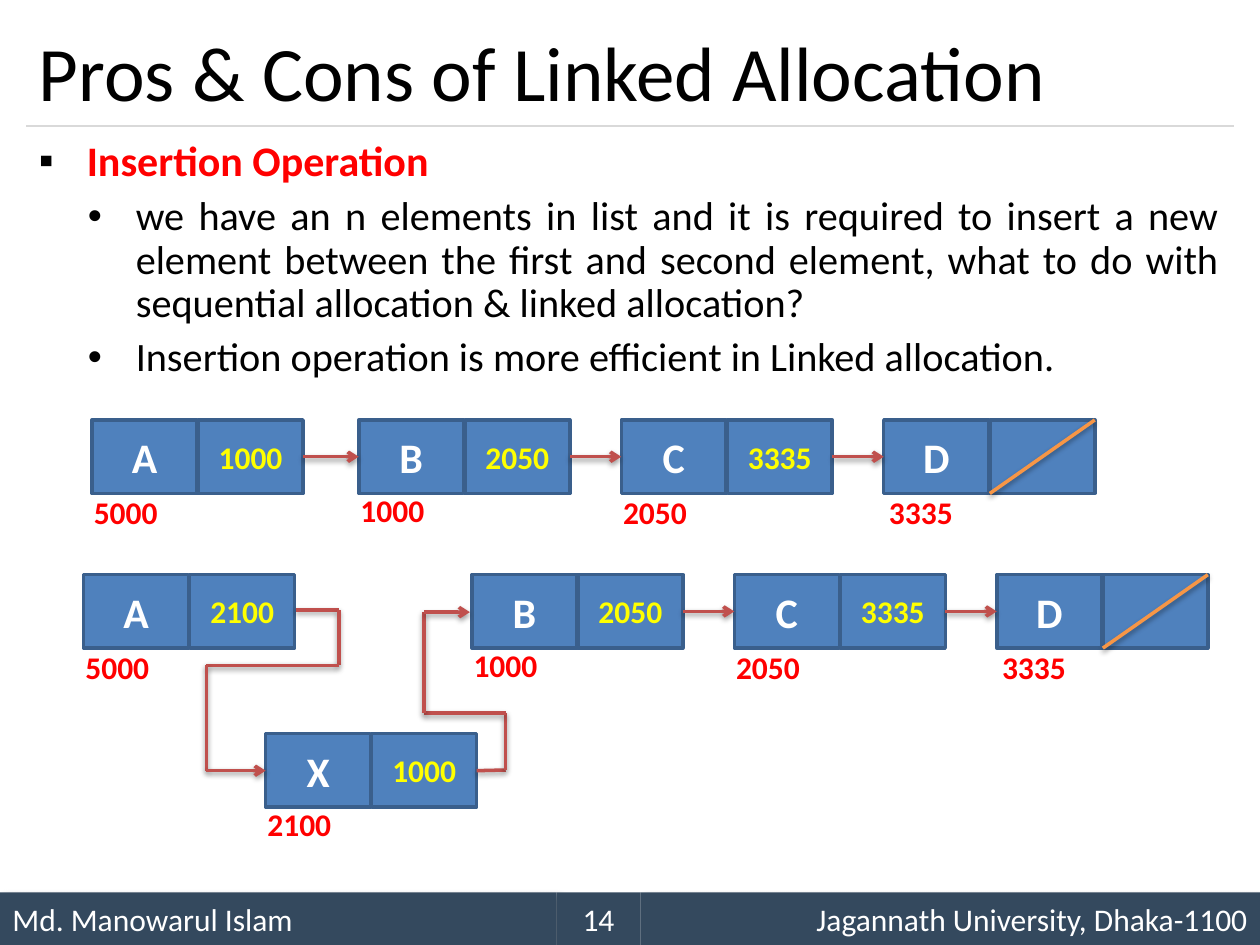
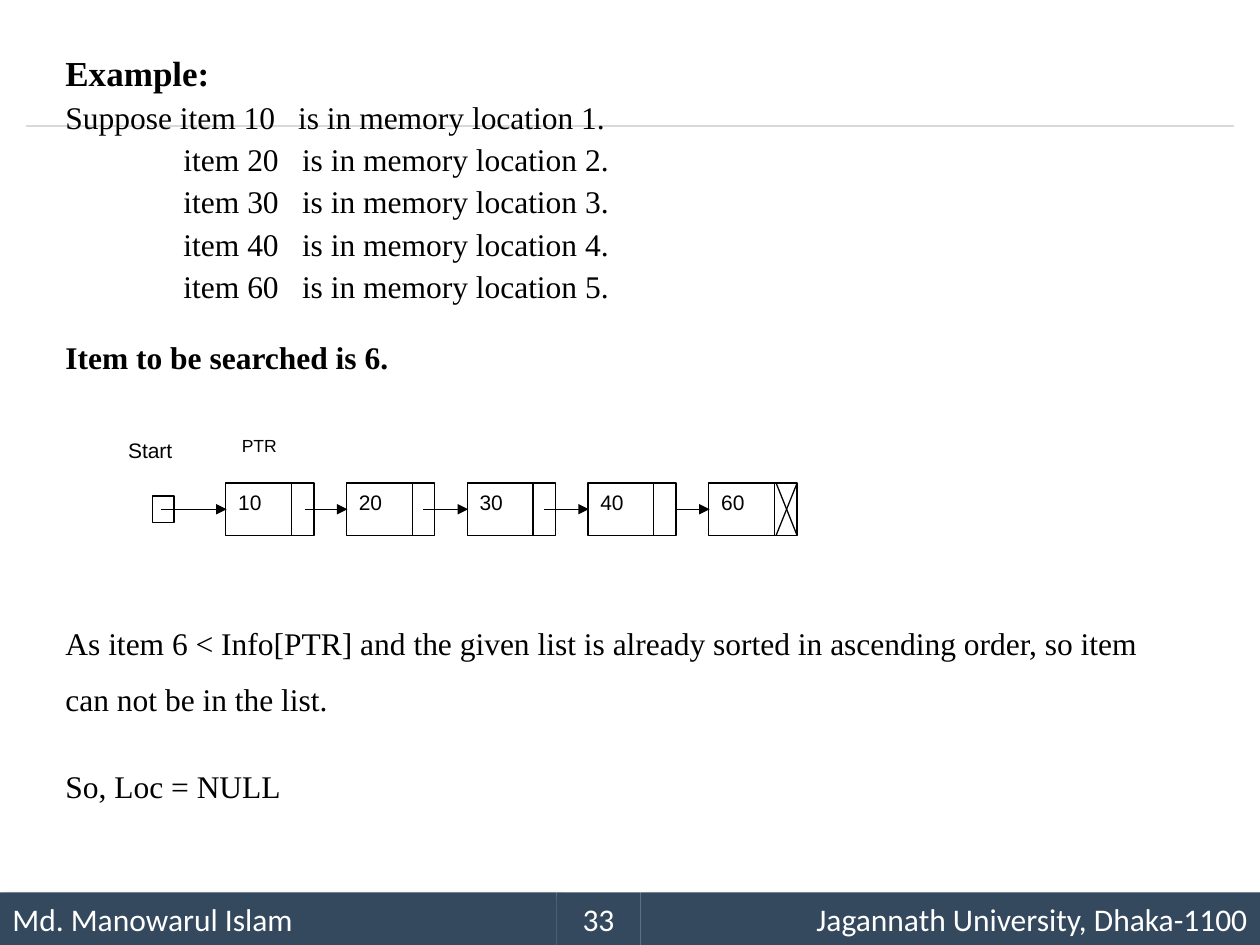
from dataclasses import dataclass
from itertools import pairwise

from lxml.etree import SubElement
from pptx import Presentation
from pptx.dml.color import RGBColor
from pptx.enum.shapes import MSO_CONNECTOR, MSO_SHAPE
from pptx.enum.text import MSO_ANCHOR, PP_ALIGN
from pptx.oxml.ns import qn
from pptx.util import Pt

COLORS = {
    "footer": "34495E",
    "rule": "D9D9D9",
    "white": "FFFFFF",
    "black": "000000",
    "red": "FF0000",
    "yellow": "FFFF00",
    "cell": "4F81BD",
    "cell_edge": "3A5F8C",
    "link": "C0504D",
    "null_mark": "F79646",
}

Point = tuple[float, float]
Area = tuple[float, float, float, float]


@dataclass(frozen=True)
class Shadow:
    alpha: int
    blur: float
    distance: float
    direction: int


@dataclass(frozen=True)
class Style:
    size: float
    color: str = "black"
    bold: bool = False
    name: str = "Calibri"
    align: PP_ALIGN = PP_ALIGN.LEFT


@dataclass(frozen=True)
class Line:
    text: str
    style: Style
    before: float | None = None
    spacing: float | None = None
    bullet: str = ""
    margin: float = 0
    tabs: tuple[float, ...] = ()


@dataclass(frozen=True)
class Stroke:
    color: str
    width: float
    head: str = ""
    shadow: Shadow | None = None


@dataclass(frozen=True)
class Node:
    letter: str
    pointer: str
    address: str
    x: float
    y: float
    address_dx: float = 1
    address_dy: float = 42


FOOTER_SHADOW = Shadow(40, 4, 3, 45)
LINK_SHADOW = Shadow(38, 3.1, 1.6, 90)
LINK = Stroke("link", 2, "arrow", LINK_SHADOW)
NULL_MARK = Stroke("null_mark", 2, "", LINK_SHADOW)
THIN = Stroke("black", 0.75)
THIN_ARROW = Stroke("black", 0.75, "triangle")
CELL_EDGE = Stroke("cell_edge", 2)

LETTER = Style(24, "white", True, align=PP_ALIGN.CENTER)
POINTER = Style(18, "yellow", True, align=PP_ALIGN.CENTER)
ADDRESS = Style(18, "red", True)
SERIF = Style(18, name="Times New Roman")
SERIF_BOLD = Style(18, bold=True, name="Times New Roman")
SANS = Style(12, name="Arial")

CELL_WIDTH, CELL_HEIGHT, CELL_STEP = 60, 42, 60.6
NODE_WIDTH = CELL_STEP + CELL_WIDTH
BULLET_HANG = 27.4


def rgb(name: str) -> RGBColor:
    return RGBColor.from_string(COLORS[name])


def set_effect(shape, shadow: Shadow | None) -> None:
    effects = SubElement(shape.element.spPr, qn("a:effectLst"))
    if shadow:
        outer = SubElement(
            effects, qn("a:outerShdw"), blurRad=str(Pt(shadow.blur)),
            dist=str(Pt(shadow.distance)), dir=str(shadow.direction * 60000),
            rotWithShape="0")
        color = SubElement(outer, qn("a:srgbClr"), val=COLORS["black"])
        SubElement(color, qn("a:alpha"), val=str(shadow.alpha * 1000))


def format_para(para, style: Style) -> None:
    para.alignment = style.align
    font = para.font
    font.name, font.size, font.bold = style.name, Pt(style.size), style.bold
    font.color.rgb = rgb(style.color)


def write_line(para, line: Line) -> None:
    para.text = line.text
    properties = para._p.get_or_add_pPr()
    if line.bullet:
        properties.set("marL", str(Pt(line.margin)))
        properties.set("indent", str(-Pt(BULLET_HANG)))
        color = SubElement(properties, qn("a:buClr"))
        SubElement(color, qn("a:srgbClr"), val=COLORS["black"])
        SubElement(properties, qn("a:buFont"), typeface="Arial")
        SubElement(properties, qn("a:buChar"), char=line.bullet)
    if line.tabs:
        tab_list = SubElement(properties, qn("a:tabLst"))
        for stop in line.tabs:
            SubElement(tab_list, qn("a:tab"), pos=str(Pt(stop)), algn="l")
    if line.before is not None:
        para.space_before = Pt(line.before)
    if line.spacing is not None:
        para.line_spacing = line.spacing
    format_para(para, line.style)


def draw_text(page, area: Area, lines: list[Line]) -> None:
    frame = page.shapes.add_textbox(*map(Pt, area)).text_frame
    frame.word_wrap = True
    frame.margin_left = frame.margin_right = frame.margin_top = frame.margin_bottom = 0
    for index, line in enumerate(lines):
        write_line(frame.add_paragraph() if index else frame.paragraphs[0], line)


def draw_box(page, area: Area, fill: str, edge: Stroke | None = None, text: str = "",
             style: Style = SANS, anchor: MSO_ANCHOR = MSO_ANCHOR.MIDDLE,
             shadow: Shadow | None = None) -> None:
    box = page.shapes.add_shape(MSO_SHAPE.RECTANGLE, *map(Pt, area))
    box.fill.solid()
    box.fill.fore_color.rgb = rgb(fill)
    if edge:
        box.line.color.rgb = rgb(edge.color)
        box.line.width = Pt(edge.width)
    else:
        box.line.fill.background()
    set_effect(box, shadow)
    if text:
        box.text_frame.vertical_anchor = anchor
        write_line(box.text_frame.paragraphs[0], Line(text, style))


def draw_line(page, start: Point, end: Point, stroke: Stroke, head: bool = True) -> None:
    line = page.shapes.add_connector(MSO_CONNECTOR.STRAIGHT, *map(Pt, (*start, *end)))
    line.line.color.rgb = rgb(stroke.color)
    line.line.width = Pt(stroke.width)
    if stroke.head and head:
        SubElement(line.element.spPr.find(qn("a:ln")), qn("a:tailEnd"), type=stroke.head)
    set_effect(line, stroke.shadow)


def draw_route(page, points: list[Point]) -> None:
    for start, end in pairwise(points):
        draw_line(page, start, end, LINK, head=end == points[-1])


def draw_frame(page, number: str) -> None:
    draw_line(page, (15, 72), (705, 72), Stroke("rule", 0.75))
    for left, width, text, align, shadow in (
        (0, 318, "Md. Manowarul Islam", PP_ALIGN.LEFT, FOOTER_SHADOW),
        (366, 354, "Jagannath University, Dhaka-1100", PP_ALIGN.RIGHT, FOOTER_SHADOW),
        (318, 48, number, PP_ALIGN.CENTER, None),
    ):
        draw_box(page, (left, 510, width, 30), "footer", text=text,
                 style=Style(18, "white", align=align), shadow=shadow)


def draw_node(page, node: Node) -> None:
    pointer_x = node.x + CELL_STEP
    draw_box(page, (node.x, node.y, CELL_WIDTH, CELL_HEIGHT), "cell", CELL_EDGE,
             node.letter, LETTER)
    draw_box(page, (pointer_x, node.y, CELL_WIDTH, CELL_HEIGHT), "cell", CELL_EDGE,
             node.pointer, POINTER)
    if not node.pointer:
        draw_line(page, (pointer_x + CELL_WIDTH, node.y),
                  (pointer_x, node.y + CELL_HEIGHT), NULL_MARK)
    draw_text(page, (node.x + node.address_dx, node.y + node.address_dy, 51, 22),
              [Line(node.address, ADDRESS)])


def draw_chain(page, nodes: list[Node]) -> None:
    for node in nodes:
        draw_node(page, node)
    for node, follower in pairwise(nodes):
        middle = node.y + CELL_HEIGHT / 2
        draw_line(page, (node.x + NODE_WIDTH, middle), (follower.x, middle), LINK)


def list_tail(x: float, y: float) -> list[Node]:
    return [
        Node("B", "2050", "1000", x, y, address_dy=40.8),
        Node("C", "3335", "2050", x + 150, y),
        Node("D", "", "3335", x + 300, y, address_dx=3),
    ]


def build_insertion(deck) -> None:
    page = deck.slides.add_slide(deck.slide_layouts[5])
    draw_frame(page, "14")
    title = page.shapes.title
    title.left, title.top, title.width, title.height = map(Pt, (15, 9, 690, 63))
    title.text_frame.text = "Pros & Cons of Linked Allocation"
    title.text_frame.vertical_anchor = MSO_ANCHOR.MIDDLE
    format_para(title.text_frame.paragraphs[0], Style(44))

    heading = Style(24, "red", True, align=PP_ALIGN.JUSTIFY)
    detail = Style(23, align=PP_ALIGN.JUSTIFY)
    draw_text(page, (22.2, 80, 675.4, 157), [
        Line("Insertion Operation", heading, None, 0.9, "▪", BULLET_HANG),
        Line("we have an n elements in list and it is required to insert a new element "
             "between the first and second element, what to do with sequential "
             "allocation & linked allocation?", detail, 6, 0.9, "•", 55.4),
        Line("Insertion operation is more efficient in Linked allocation.",
             detail, 6, 0.9, "•", 55.4),
    ])

    draw_chain(page, [Node("A", "1000", "5000", 52.6, 240), *list_tail(205, 240)])
    draw_node(page, Node("A", "2100", "5000", 47.8, 328.4))
    draw_chain(page, list_tail(269.6, 328.4))
    draw_node(page, Node("X", "1000", "2100", 151.8, 419.2, address_dy=41))
    draw_route(page, [(169, 348.6), (193.6, 348.6), (193.6, 380.2), (118, 380.2),
                      (118, 440.4), (151.8, 440.4)])
    draw_route(page, [(272.4, 440.4), (289, 440), (289, 407.5), (242.2, 407.5),
                      (242.2, 349.8), (268.5, 349.8)])


def build_search(deck) -> None:
    page = deck.slides.add_slide(deck.slide_layouts[6])
    draw_frame(page, "33")

    first, pitch, top, width, height = 129, 69, 276, 50.4, 30
    divider, middle = 37.6, 291
    values = ("10", "20", "30", "40", "60")
    for index, value in enumerate(values):
        left = first + pitch * index
        draw_box(page, (left, top, width, height), "white", THIN, value, SANS,
                 MSO_ANCHOR.TOP)
        draw_line(page, (left + divider, top), (left + divider, top + height), THIN)
    draw_box(page, (87, 283.5, 12.4, 15), "white", THIN)
    for index, start in enumerate((92.2, 174.2, 242, 311, 386)):
        draw_line(page, (start, middle), (first + pitch * index + 0.5, middle), THIN_ARROW)
    for upper, lower in ((443.5, 455.5), (455.5, 443.5)):
        draw_line(page, (upper, top), (lower, top + height), THIN)
    draw_text(page, (73.2, 249.8, 50, 20), [Line("Start", SANS)])
    draw_text(page, (138.2, 248.4, 40, 18), [Line("PTR", Style(10, name="Arial"))])

    draw_text(page, (37.4, 345.6, 636, 120), [
        Line("As item 6 < Info[PTR] and the given list is already sorted in ascending "
             "order, so item can not be in the list.", SERIF, spacing=1.5),
        Line("So, Loc = NULL", SERIF, 17.25, 1.5),
    ])
    items = [
        Line(f"\titem {value}\tis in memory location {place}.", SERIF, 2.5,
             tabs=(67.5, 135.2))
        for place, value in enumerate(values[1:], 2)
    ]
    draw_text(page, (37.4, 29.6, 657, 185), [
        Line("Example:", Style(20, bold=True, name="Times New Roman")),
        Line("Suppose item 10\tis in memory location 1.", SERIF, 2.5, tabs=(133,)),
        *items,
        Line("Item to be searched is 6.", SERIF_BOLD, 19),
    ])


def main() -> None:
    deck = Presentation()
    deck.slide_width, deck.slide_height = Pt(720), Pt(540)
    build_insertion(deck)
    build_search(deck)
    deck.save("out.pptx")


if __name__ == "__main__":
    main()
